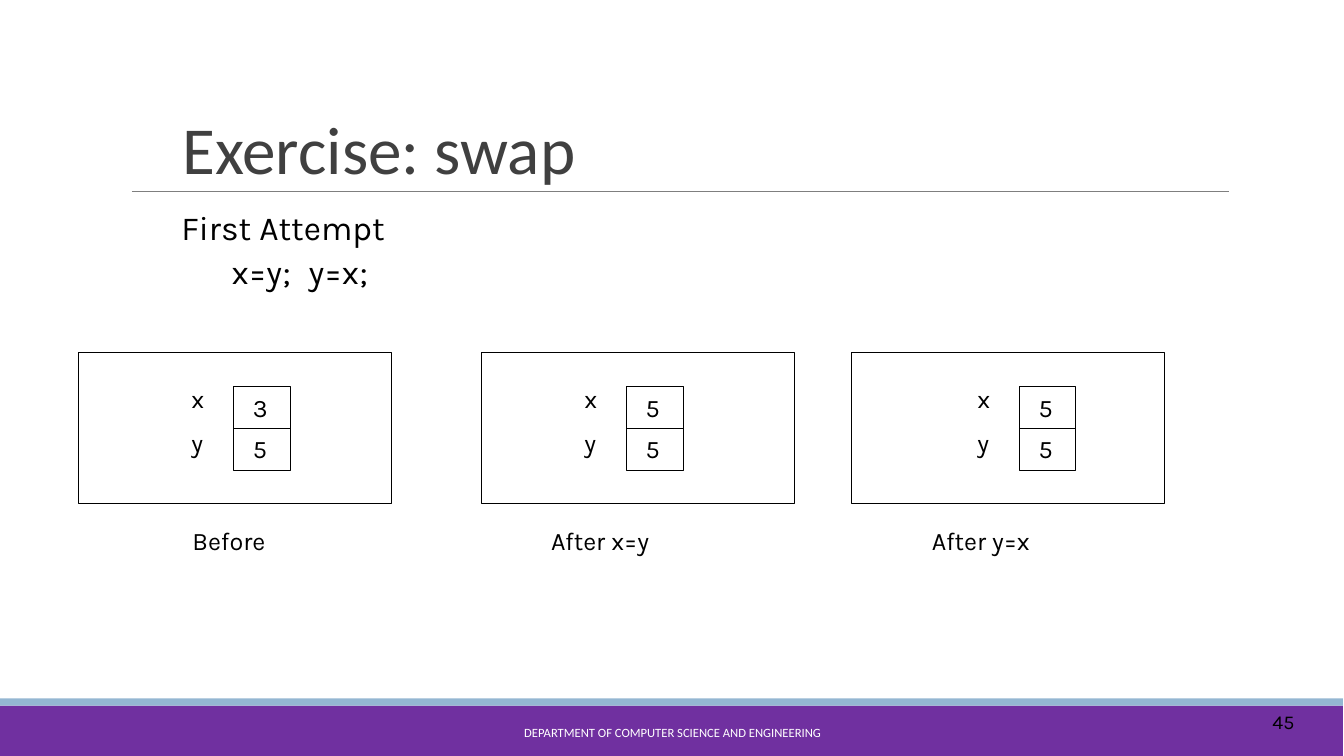
from copy import deepcopy

from lxml.etree import SubElement
from pptx import Presentation
from pptx.dml.color import RGBColor
from pptx.enum.shapes import MSO_CONNECTOR, MSO_SHAPE
from pptx.enum.text import MSO_ANCHOR, PP_ALIGN
from pptx.oxml.ns import qn
from pptx.util import Inches, Pt

WIDE, HIGH = 13.34, 7.5

deck = Presentation()
deck.slide_width, deck.slide_height = Inches(WIDE), Inches(HIGH)
slide = deck.slides.add_slide(deck.slide_layouts[5])
shapes = slide.shapes


def color(code):
    return RGBColor.from_string(code)


def write(text, at, box=None, size=18, face="Karla", ink="000000", top=0.01,
          side=0.02, gap=0, hang=0, lead=1.0, align=PP_ALIGN.LEFT,
          anchor=MSO_ANCHOR.TOP):
    """Fill a box with one paragraph per line of text."""
    spot = [Inches(n) for n in at]
    if box is None:
        box = shapes.add_textbox(*spot)
    box.left, box.top, box.width, box.height = spot
    frame = box.text_frame
    frame.word_wrap = True
    frame.vertical_anchor = anchor
    frame.margin_left = Inches(side)
    frame.margin_right = frame.margin_bottom = 0
    frame.margin_top = Inches(top)
    frame.text = text
    for row, par in enumerate(frame.paragraphs):
        par.alignment = align
        par.line_spacing = lead
        par.space_before = Pt(gap if row else 0)
        if hang:
            props = par._p.get_or_add_pPr()
            props.set("marL", str(Inches(hang)))
            props.set("indent", str(-Inches(hang)))
        for run in par.runs:
            run.font.size = Pt(size)
            run.font.name = face
            run.font.color.rgb = color(ink)
    return frame.paragraphs[0]


# Footer bands
for top, tall, fill in ((7, 0.5, "7030A0"), (6.93, 0.07, "94B6D2")):
    band = shapes.add_shape(MSO_SHAPE.RECTANGLE, 0, Inches(top),
                            Inches(13.33), Inches(tall))
    band.shadow.inherit = False
    band.fill.solid()
    band.fill.fore_color.rgb = color(fill)
    band.line.fill.background()

# Rule under the title
rule = shapes.add_connector(MSO_CONNECTOR.STRAIGHT, Inches(1.31), Inches(1.9),
                            Inches(12.2), Inches(1.9))
rule.line.color.rgb = color("7F7F7F")
rule.line.width = Pt(0.5)
SubElement(rule._element.spPr, qn("a:effectLst"))

# Title and footer text
write("Exercise: swap", (1.79, 1.04, 5.33, 0.82), box=shapes.title, size=48,
      face="Calibri", ink="404040", anchor=MSO_ANCHOR.BOTTOM)
write("45", (12.61, 7.03, 0.32, 0.25), size=14)
write("DEPARTMENT OF COMPUTER SCIENCE AND ENGINEERING",
      (4.03, 7.06, 5.27, 0.4), size=9, face="Calibri", ink="FFFFFF",
      align=PP_ALIGN.CENTER, anchor=MSO_ANCHOR.MIDDLE)

# Code line, with a widened space between its statements
code = write("First Attempt\vx=y;", (1.78, 2, 2.55, 0.89), size=24,
             hang=0.5, lead=1.1)
for word, space in ((" ", 700), ("y=x;", 0)):
    code._p.append(deepcopy(code.runs[-1]._r))
    run = code.runs[-1]
    run.text = word
    run.font._element.set("spc", str(space))

# Memory states: frame left, cell left, label left, label, values
states = ((0.78, 2.32, 1.89, "Before", "3\n5"),
          (4.78, 6.22, 5.45, "After x=y", "5\n5"),
          (8.45, 10.12, 9.23, "After y=x", "5\n5"))
roof, cell_y, cell_w, cell_h = 3.5, 3.83, 0.56, 0.42

for left, cell, tag, label, values in states:
    # One outline holds the frame and its two cells
    draw = None
    for x, y, w, h in ((left, roof, 3.11, 1.5),
                       (cell, cell_y, cell_w, cell_h),
                       (cell, cell_y + cell_h, cell_w, cell_h)):
        start, *rest = [(Inches(a), Inches(b)) for a, b in
                        ((x, y), (x + w, y), (x + w, y + h), (x, y + h))]
        if draw is None:
            draw = shapes.build_freeform(*start)
        else:
            draw.move_to(*start)
        draw.add_line_segments(rest, close=True)
    state = draw.convert_to_shape()
    state.shadow.inherit = False
    state.fill.background()
    state.line.color.rgb = color("000000")
    state.line.width = Pt(0.71)

    write(values, (cell + 0.19, 3.76, 0.2, 0.84), top=0.13, side=0, gap=8.1)
    write("x\ny", (cell - 0.42, 3.66, 0.19, 0.88), top=0.14, side=0, gap=10)
    write(label, (tag, 5.2, 1.4, 0.31))

deck.save("out.pptx")
